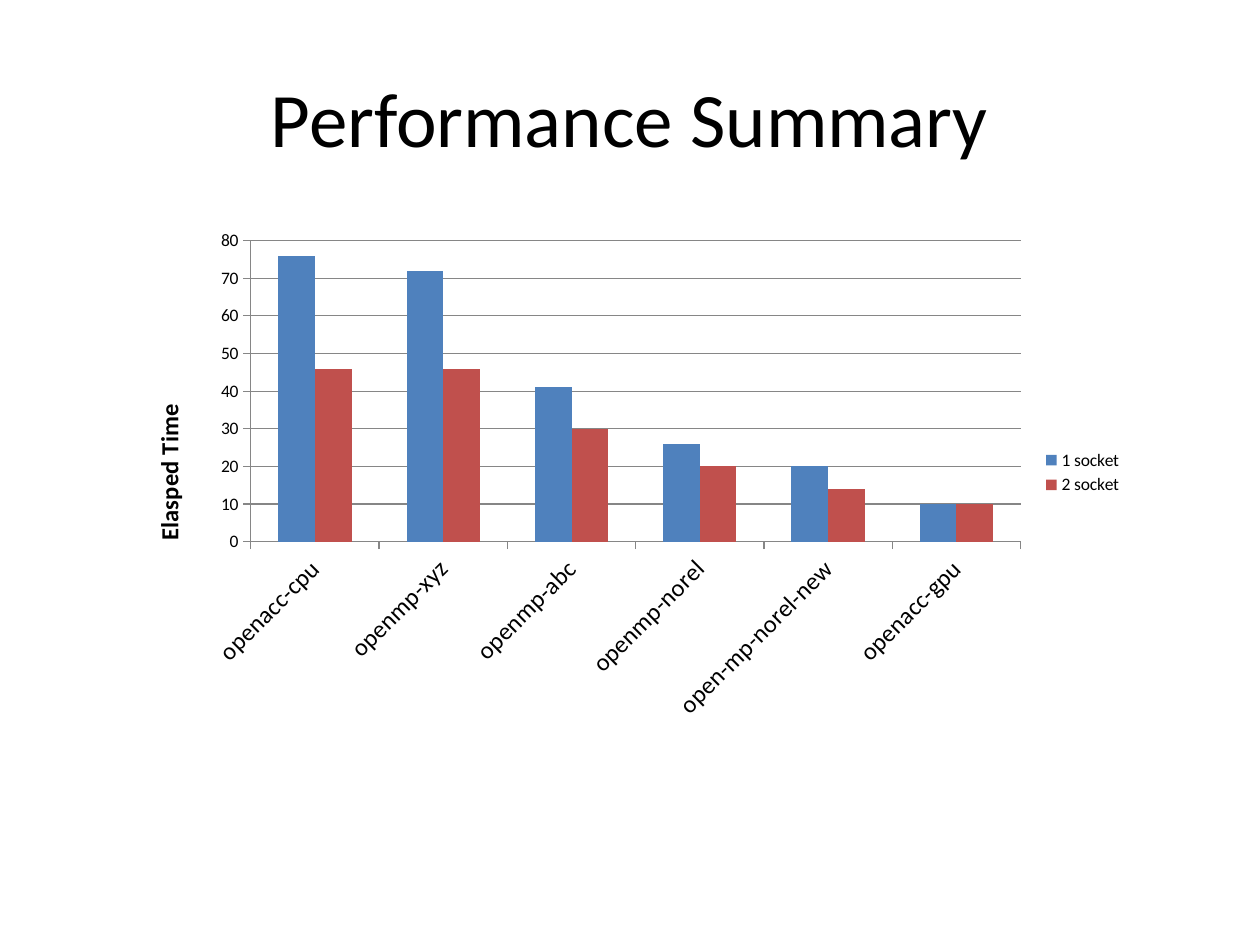
from lxml import etree
from pptx import Presentation
from pptx.chart.data import CategoryChartData
from pptx.dml.color import RGBColor
from pptx.enum.chart import XL_CHART_TYPE, XL_LEGEND_POSITION, XL_TICK_MARK
from pptx.enum.text import MSO_ANCHOR, PP_ALIGN
from pptx.oxml.ns import qn
from pptx.util import Inches, Pt

BLACK = RGBColor(0x00, 0x00, 0x00)
GRAY = RGBColor(0x86, 0x86, 0x86)
BLUE = RGBColor(0x4F, 0x81, 0xBD)
RED = RGBColor(0xC0, 0x50, 0x4D)
FONT = "Calibri"
COLUMNS = XL_CHART_TYPE.COLUMN_CLUSTERED
RIGHT = XL_LEGEND_POSITION.RIGHT
TICK_OUT = XL_TICK_MARK.OUTSIDE
TICK_NONE = XL_TICK_MARK.NONE
MIDDLE = MSO_ANCHOR.MIDDLE
CENTER = PP_ALIGN.CENTER

CATEGORIES = ["openacc-cpu", "openmp-xyz", "openmp-abc",
              "openmp-norel", "open-mp-norel-new", "openacc-gpu"]
SERIES = [("1 socket", (76, 72, 41, 26, 20, 10), BLUE),
          ("2 socket", (46, 46, 30, 20, 14, 10), RED)]


def format_font(font, size, bold=False):
    """Apply the slide's typeface and text colour."""
    font.name = FONT
    font.size = Pt(size)
    font.bold = bold
    font.color.rgb = BLACK


def set_layout(element, index, settings):
    """Give a chart part a manual layout as fractions of the chart."""
    for old_layout in element.findall(qn("c:layout")):
        element.remove(old_layout)
    layout = etree.Element(qn("c:layout"))
    manual = etree.SubElement(layout, qn("c:manualLayout"))
    for name, value in settings.items():
        etree.SubElement(manual, qn("c:" + name)).set("val", str(value))
    element.insert(index, layout)


def add_title(slide, text, left, top, width, height):
    """Place and format the title placeholder."""
    title = slide.shapes.title
    title.left, title.top, title.width, title.height = left, top, width, height
    frame = title.text_frame
    frame.text = text
    frame.vertical_anchor = MIDDLE
    paragraph = frame.paragraphs[0]
    paragraph.alignment = CENTER
    format_font(paragraph.font, 44)


def format_axes(chart, width, height):
    """Style both axes, the gridlines and the value axis title."""
    category_axis, value_axis = chart.category_axis, chart.value_axis
    for axis, size in ((category_axis, 14), (value_axis, 10)):
        axis.major_tick_mark = TICK_OUT
        axis.minor_tick_mark = TICK_NONE
        axis.format.line.color.rgb = GRAY
        format_font(axis.tick_labels.font, size)
    label_text = category_axis._element.find(qn("c:txPr"))
    label_text.find(qn("a:bodyPr")).set("rot", str(-45 * 60000))
    value_axis.minimum_scale = 0
    value_axis.maximum_scale = 80
    value_axis.major_unit = 10
    value_axis.has_major_gridlines = True
    value_axis.major_gridlines.format.line.color.rgb = GRAY
    frame = value_axis.axis_title.text_frame
    frame.text = "Elasped Time"
    format_font(frame.paragraphs[0].font, 14, bold=True)
    body = frame._txBody.find(qn("a:bodyPr"))
    body.set("rot", str(-90 * 60000))
    body.set("vert", "horz")
    set_layout(value_axis.axis_title._element, 1,
               {"xMode": "edge", "yMode": "edge",
                "x": Inches(0.18) / width, "y": Inches(1.42) / height})


def add_performance_chart(slide, left, top, width, height):
    """Add the clustered columns of elapsed time."""
    data = CategoryChartData()
    data.categories = CATEGORIES
    for name, values, _ in SERIES:
        data.add_series(name, values)
    chart = slide.shapes.add_chart(COLUMNS, left, top, width, height, data).chart
    format_font(chart.font, 10)
    chart.has_title = False
    chart.has_legend = True
    chart.legend.position = RIGHT
    chart.legend.include_in_layout = False
    format_font(chart.legend.font, 10)
    plot = chart.plots[0]
    plot.gap_width = 150
    plot.overlap = 0
    plot.vary_by_categories = False
    for series, (_, _, color) in zip(plot.series, SERIES):
        series.format.fill.solid()
        series.format.fill.fore_color.rgb = color
    format_axes(chart, width, height)
    set_layout(chart._chartSpace.chart.plotArea, 0,
               {"layoutTarget": "inner", "xMode": "edge", "yMode": "edge",
                "x": Inches(1) / width, "y": Inches(0.16) / height,
                "w": Inches(6.11) / width, "h": Inches(2.39) / height})


def main():
    """Build and save the presentation."""
    presentation = Presentation()
    presentation.slide_width = Inches(10)
    presentation.slide_height = Inches(7.5)
    slide = presentation.slides.add_slide(presentation.slide_layouts[5])
    add_title(slide, "Performance Summary",
              Inches(0.5), Inches(0.3), Inches(9), Inches(1.25))
    add_performance_chart(slide, Inches(0.99), Inches(1.75), Inches(8.02), Inches(4))
    presentation.save("out.pptx")


main()
